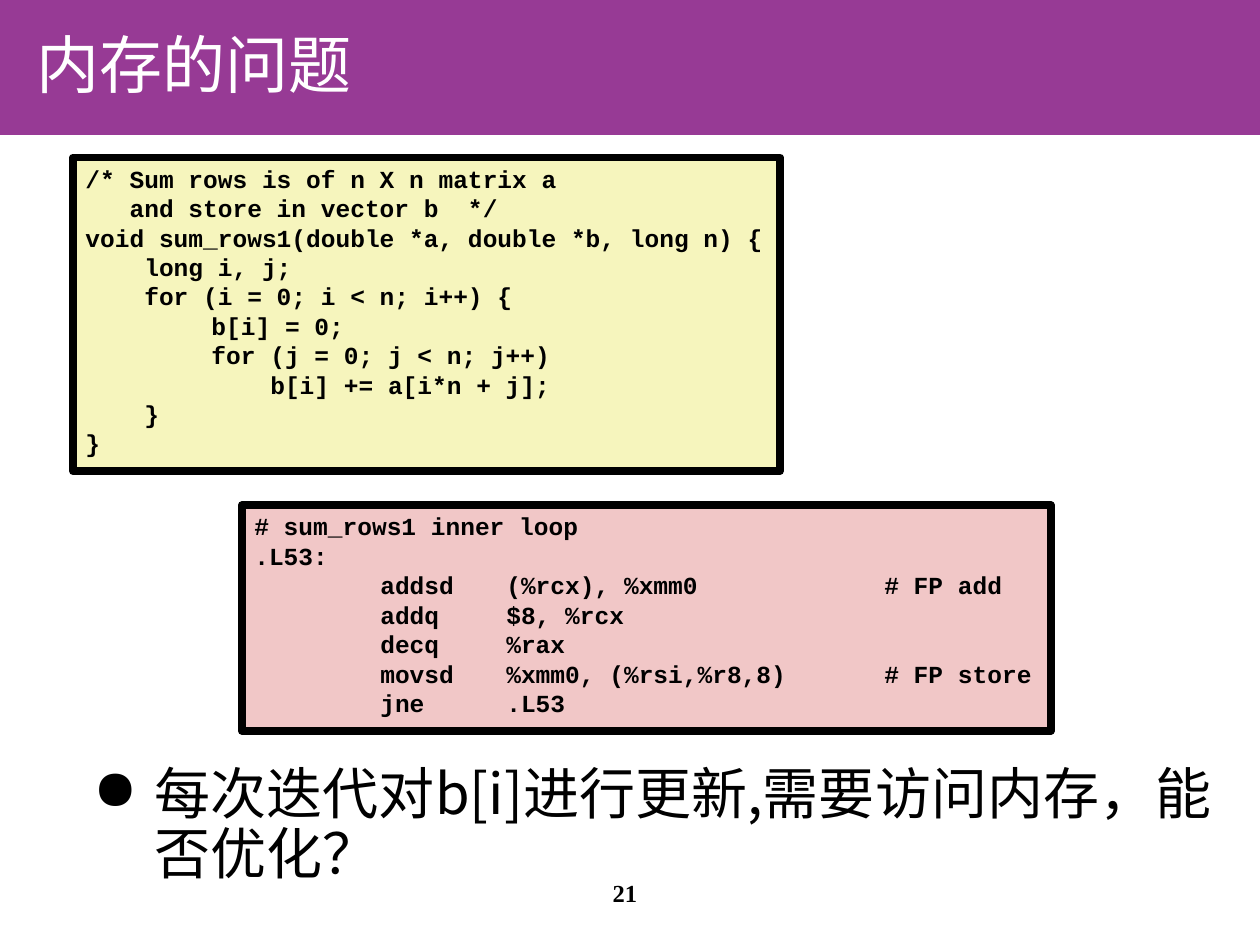
from lxml.etree import SubElement
from pptx import Presentation
from pptx.dml.color import RGBColor
from pptx.enum.shapes import MSO_SHAPE as Preset
from pptx.enum.text import MSO_ANCHOR as Anchor, MSO_AUTO_SIZE as AutoSize, PP_ALIGN as Align
from pptx.oxml.ns import qn
from pptx.util import Inches, Pt

COLUMNS, ROWS = 100, 75
WIDTH, HEIGHT = Inches(10), Inches(7.5)
COLORS = {
    "banner": "973A95", "source": "F6F5BD", "assembly": "F1C7C7",
    "ink": "000000", "title": "FFFFFF",
}
CJK, MONO, SERIF = "Noto Sans CJK SC", "Courier New", "Times New Roman"
SOURCE_CODE = """/* Sum rows is of n X n matrix a
   and store in vector b  */
void sum_rows1(double *a, double *b, long n) {
    long i, j;
    for (i = 0; i < n; i++) {
\tb[i] = 0;
\tfor (j = 0; j < n; j++)
\t    b[i] += a[i*n + j];
    }
}"""
ASSEMBLY_CODE = """# sum_rows1 inner loop
.L53:
\taddsd\t(%rcx), %xmm0\t\t# FP add
\taddq\t$8, %rcx
\tdecq\t%rax
\tmovsd\t%xmm0, (%rsi,%r8,8)\t# FP store
\tjne\t.L53"""


def place(box):
    """Turn a grid box (column, row, columns, rows) into slide lengths."""
    left, top, wide, high = box
    return (int(left * WIDTH / COLUMNS), int(top * HEIGHT / ROWS),
            int(wide * WIDTH / COLUMNS), int(high * HEIGHT / ROWS))


def style(paragraph, face, size, color, bold=False):
    """Set the font of a whole paragraph, for Latin and East Asian text."""
    font = paragraph.font
    font.name, font.size, font.bold = face, Pt(size), bold
    font.color.rgb = RGBColor.from_string(COLORS[color])
    defaults = paragraph._p.pPr.find(qn("a:defRPr"))
    SubElement(defaults, qn("a:ea"), typeface=face)


def add_panel(slide, box, color):
    """Add a plain filled rectangle."""
    panel = slide.shapes.add_shape(Preset.RECTANGLE, *place(box))
    panel.shadow.inherit = False
    panel.fill.solid()
    panel.fill.fore_color.rgb = RGBColor.from_string(COLORS[color])
    panel.line.fill.background()
    return panel


def add_line_of_text(slide, box, words):
    """Add a wrapping text box and return its frame."""
    frame = slide.shapes.add_textbox(*place(box)).text_frame
    frame.word_wrap = True
    frame.text = words
    return frame


def add_header(slide, box, words):
    """Add the banner with the title in its upper left."""
    left, top, wide, high = box
    add_panel(slide, box, "banner")
    title_box = (left + 1.9, top + 1.4, wide * 0.66, high * 0.69)
    frame = add_line_of_text(slide, title_box, words)
    frame.vertical_anchor = Anchor.MIDDLE
    style(frame.paragraphs[0], CJK, 36, "title")


def add_code(slide, box, code, color):
    """Add a framed listing with a tab stop at every inch."""
    listing = add_panel(slide, box, color)
    listing.line.color.rgb = RGBColor.from_string(COLORS["ink"])
    listing.line.width = Pt(4.5)
    frame = listing.text_frame
    frame.word_wrap = False
    frame.auto_size = AutoSize.SHAPE_TO_FIT_TEXT
    frame.vertical_anchor = Anchor.TOP
    frame.text = code
    for paragraph in frame.paragraphs:
        paragraph.alignment = Align.LEFT
        stops = SubElement(paragraph._p.get_or_add_pPr(), qn("a:tabLst"))
        for inch in range(1, 6):
            SubElement(stops, qn("a:tab"), pos=str(Inches(inch)), algn="l")
        style(paragraph, MONO, 14, "ink", bold=True)


def add_question(slide, box, words):
    """Add the bulleted question with a hanging indent."""
    question = add_line_of_text(slide, box, words).paragraphs[0]
    question.line_spacing = 0.9
    properties = question._p.get_or_add_pPr()
    properties.set("marL", str(Inches(0.49)))
    properties.set("indent", str(-Inches(0.49)))
    SubElement(properties, qn("a:buChar"), char="●")
    style(question, CJK, 32, "ink")


def add_page_number(slide, box, number):
    """Add the centred page number."""
    page = add_line_of_text(slide, box, number).paragraphs[0]
    page.alignment = Align.CENTER
    style(page, SERIF, 14, "ink", bold=True)


def main():
    """Build and save the slide."""
    deck = Presentation()
    deck.slide_width, deck.slide_height = WIDTH, HEIGHT
    slide = deck.slides.add_slide(deck.slide_layouts[6])
    add_header(slide, (0, -0.1, COLUMNS, 10.8), "内存的问题")
    add_question(slide, (6.4, 60.3, 90.9, 8.8), "每次迭代对b[i]进行更新,需要访问内存，能否优化？")
    add_code(slide, (19.2, 40.1, 64.2, 17.9), ASSEMBLY_CODE, "assembly")
    add_code(slide, (5.8, 12.5, 56.1, 24.9), SOURCE_CODE, "source")
    add_page_number(slide, (39.2, 69.2, 20.8, 5), "21")
    deck.save("out.pptx")


if __name__ == "__main__":
    main()
